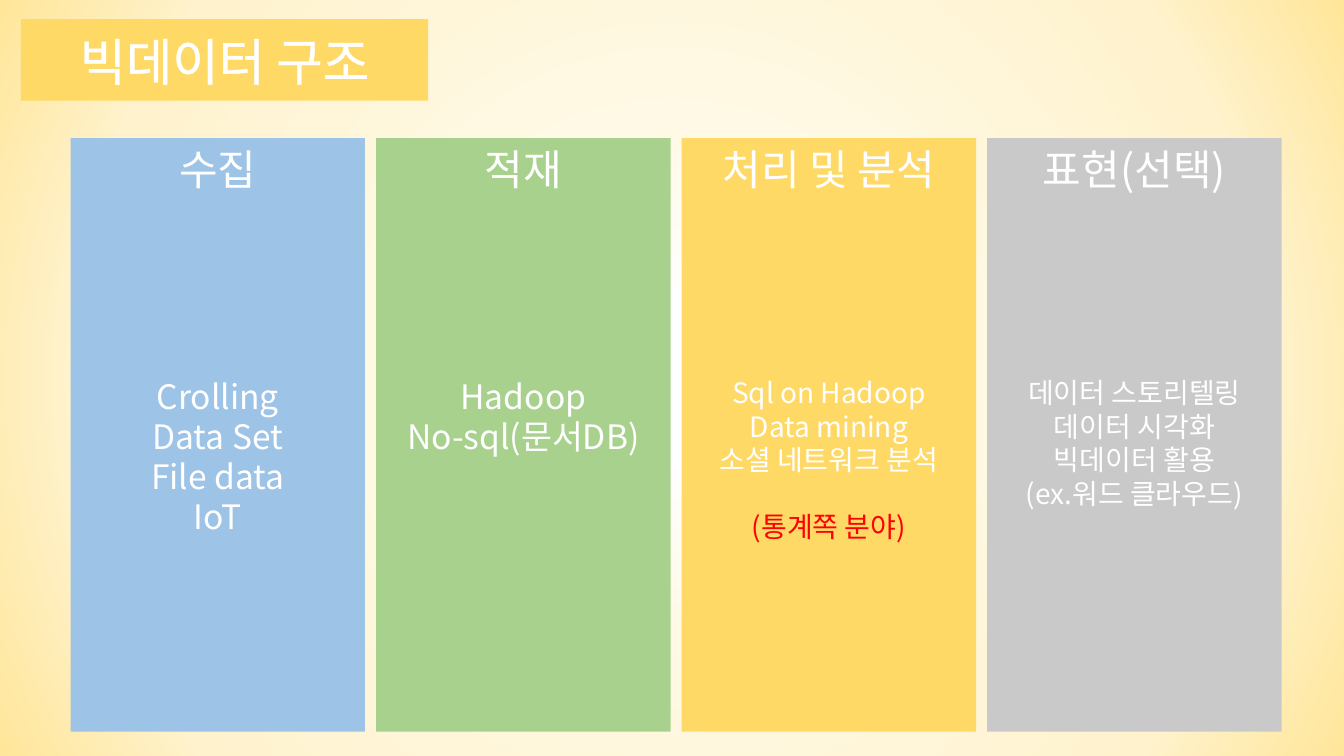
from dataclasses import dataclass
from lxml import etree
from pptx import Presentation
from pptx.dml.color import RGBColor as Rgb
from pptx.enum.shapes import MSO_SHAPE as Kind
from pptx.enum.text import MSO_ANCHOR as Anchor, PP_ALIGN as Align
from pptx.oxml import parse_xml
from pptx.oxml.ns import qn
from pptx.util import Cm, Pt


@dataclass(frozen=True)
class Theme:
    font: str = "Noto Sans CJK KR"
    white: str = "FFFFFF"
    red: str = "FF0000"
    blue: str = "9DC3E6"
    green: str = "A9D18E"
    gold: str = "FFD966"
    gray: str = "C9C9C9"
    glow: tuple = ((10, "FFFFFF"), (33, "FFF9E6"), (56, "FFF6D9"),
                   (78, "FFF2CC"), (100, "FFE699"))
    title: int = 36
    head: int = 30
    large: int = 24
    small: int = 20


look = Theme()


def add_box(left, top, width, height, color):
    box = slide.shapes.add_shape(Kind.RECTANGLE, Cm(left), Cm(top), Cm(width), Cm(height))
    box.shadow.inherit = False
    box.fill.solid()
    box.fill.fore_color.rgb = Rgb.from_string(color)
    box.line.fill.background()
    return box


def add_line(frame, text, size, color=look.white, gap=0):
    """Add a centred paragraph, with gap points above it, and return its run."""
    para = frame.paragraphs[0]
    if para.runs:
        para = frame.add_paragraph()
    para.alignment = Align.CENTER
    para.space_before = Pt(gap)
    run = para.add_run()
    run.text = text
    run.font.size = Pt(size)
    run.font.name = look.font
    run.font.color.rgb = Rgb.from_string(color)
    etree.SubElement(run.font._element, qn("a:ea"), typeface=look.font)
    return run


deck = Presentation()
deck.slide_width, deck.slide_height = Cm(33.87), Cm(19.05)
slide = deck.slides.add_slide(deck.slide_layouts[6])

# Background glow
back = slide.background.fill
back.gradient()
grad = slide.background._cSld.find(".//" + qn("a:gradFill"))
for part in list(grad):
    grad.remove(part)
stops = etree.SubElement(grad, qn("a:gsLst"))
for pos, color in look.glow:
    stop = etree.SubElement(stops, qn("a:gs"), pos=str(pos * 1000))
    etree.SubElement(stop, qn("a:srgbClr"), val=color)
ring = etree.SubElement(grad, qn("a:path"), path="circle")
etree.SubElement(ring, qn("a:fillToRect"), l="50000", t="50000", r="50000", b="50000")

# Title
add_box(0.53, 0.48, 10.26, 2.06, look.gold)
label = slide.shapes.add_textbox(Cm(1.07), Cm(0.64), Cm(9.17), Cm(1.8))
label.text_frame.word_wrap = True
title = add_line(label.text_frame, "빅데이터 구조", look.title)
edge = parse_xml(
    '<a:ln xmlns:a="http://schemas.openxmlformats.org/drawingml/2006/main" w="9525">'
    f'<a:solidFill><a:srgbClr val="{look.white}"/></a:solidFill></a:ln>')
title.font._element.insert(0, edge)

# Stages: heading, fill, text size, lines, red note
stages = [
    ("수집", look.blue, look.large, ["Crolling", "Data Set", "File data", "IoT"], ""),
    ("적재", look.green, look.large, ["Hadoop", "No-sql(문서DB)"], ""),
    ("처리 및 분석", look.gold, look.small,
     ["Sql on Hadoop", "Data mining", "소셜 네트워크 분석"], "(통계쪽 분야)"),
    ("표현(선택)", look.gray, look.small,
     ["데이터 스토리텔링", "데이터 시각화", "빅데이터 활용", "(ex.워드 클라우드)"], ""),
]
left, pitch, width = 1.78, 7.7, 7.42
for col, (head, fill, size, lines, note) in enumerate(stages):
    box = add_box(left + col * pitch, 3.48, width, 14.96, fill)
    frame = box.text_frame
    frame.word_wrap = True
    frame.vertical_anchor = Anchor.TOP
    add_line(frame, head, look.head)
    for row, text in enumerate(lines):
        add_line(frame, text, size, gap=0 if row else 130)
    if note:
        add_line(frame, note, size, look.red, gap=24)

deck.save("out.pptx")
